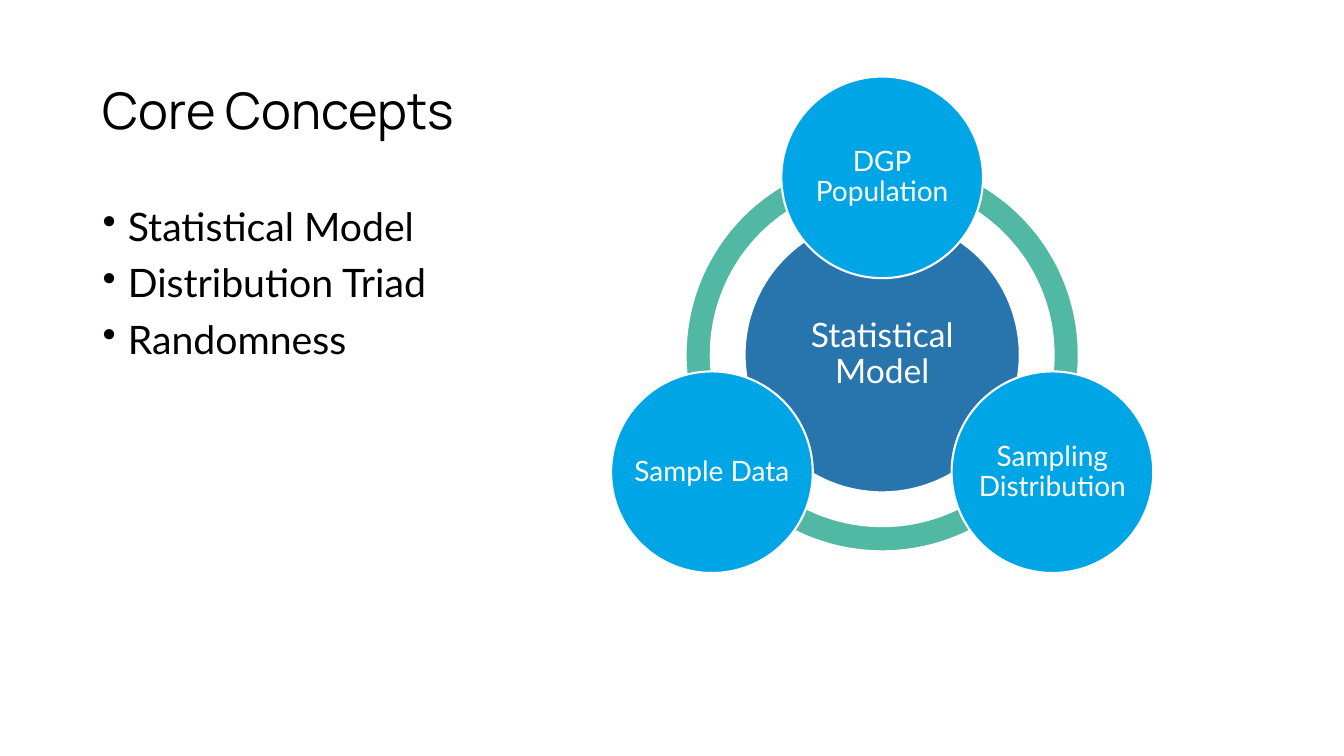
import math
from dataclasses import dataclass

import pptx
import pptx.util
import pptx.dml.color
import pptx.enum.shapes
import pptx.enum.text
import pptx.oxml.ns
from lxml import etree
from pptx.util import Inches


@dataclass(frozen=True)
class Theme:
    white: str = "FFFFFF"
    black: str = "000000"
    green: str = "51B9A3"
    navy: str = "2874AD"
    sky: str = "00A5E5"
    head: str = "Manrope"
    body: str = "Lato"
    title: int = 36
    list: int = 28
    core: int = 24
    node: int = 20
    edge: float = 1.5


THEME = Theme()


def paint(text):
    return pptx.dml.color.RGBColor.from_string(text)


def style(para, face, size, color):
    para.line_spacing = 0.9
    for run in para.runs:
        run.font.name = face
        run.font.size = pptx.util.Pt(size)
        run.font.color.rgb = paint(color)


def add_title(slide, text):
    title = slide.shapes.title
    title.left, title.top = Inches(0.92), Inches(0.4)
    title.width, title.height = Inches(11.5), Inches(1.45)
    frame = title.text_frame
    frame.text = text
    frame.vertical_anchor = pptx.enum.text.MSO_ANCHOR.MIDDLE
    para = frame.paragraphs[0]
    para.alignment = pptx.enum.text.PP_ALIGN.LEFT
    style(para, THEME.head, THEME.title, THEME.black)


def add_list(slide, items):
    box = slide.shapes.add_textbox(
        Inches(0.92), Inches(2.01), Inches(8.62), Inches(4.74))
    frame = box.text_frame
    frame.word_wrap = True
    frame.text = "\n".join(items)
    for spot, para in enumerate(frame.paragraphs):
        props = para._p.get_or_add_pPr()
        props.set("marL", str(Inches(0.25)))
        props.set("indent", str(Inches(-0.25)))
        mark = etree.SubElement(props, pptx.oxml.ns.qn("a:buChar"))
        mark.set("char", "•")
        if spot:
            para.space_before = pptx.util.Pt(10)
        style(para, THEME.body, THEME.list, THEME.black)


def add_disc(slide, mid_x, mid_y, width, fill, text="", size=THEME.node):
    disc = slide.shapes.add_shape(
        pptx.enum.shapes.MSO_SHAPE.OVAL,
        Inches(mid_x - width / 2), Inches(mid_y - width / 2),
        Inches(width), Inches(width))
    disc.shadow.inherit = False
    disc.fill.solid()
    disc.fill.fore_color.rgb = paint(fill)
    disc.line.color.rgb = paint(THEME.white)
    disc.line.width = pptx.util.Pt(THEME.edge)
    if text:
        frame = disc.text_frame
        frame.word_wrap = False
        frame.vertical_anchor = pptx.enum.text.MSO_ANCHOR.MIDDLE
        frame.text = text
        para = frame.paragraphs[0]
        para.alignment = pptx.enum.text.PP_ALIGN.CENTER
        style(para, THEME.body, size, THEME.white)


def add_wheel(slide, core, nodes):
    mid_x, mid_y = 8.75, 3.52
    add_disc(slide, mid_x, mid_y, 3.9, THEME.green)
    add_disc(slide, mid_x, mid_y, 3.4, THEME.white)
    add_disc(slide, mid_x, mid_y, 2.73, THEME.navy, core, THEME.core)
    orbit, hub = 1.95, 3.71
    for spot, text in enumerate(nodes):
        turn = math.tau * spot / len(nodes)
        add_disc(slide, mid_x + orbit * math.sin(turn),
                 hub - orbit * math.cos(turn), 2, THEME.sky, text)


def main():
    deck = pptx.Presentation()
    deck.slide_width, deck.slide_height = Inches(13.33), Inches(7.5)
    slide = deck.slides.add_slide(deck.slide_layouts[5])
    add_title(slide, "Core Concepts")
    add_list(slide, ["Statistical Model", "Distribution Triad", "Randomness"])
    add_wheel(slide, "Statistical\vModel",
              ["DGP\vPopulation", "Sampling\vDistribution", "Sample Data"])
    deck.save("out.pptx")


if __name__ == "__main__":
    main()
